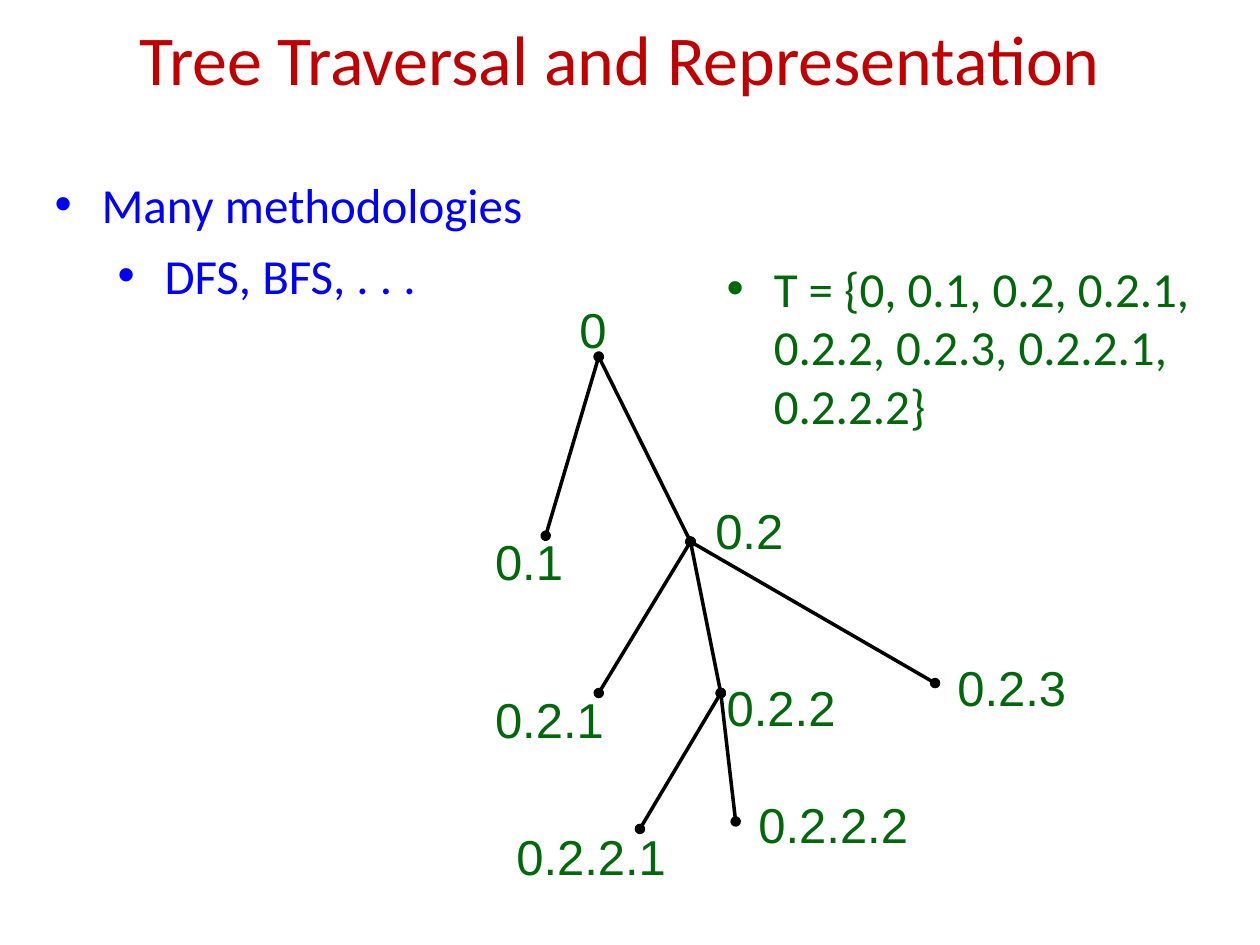
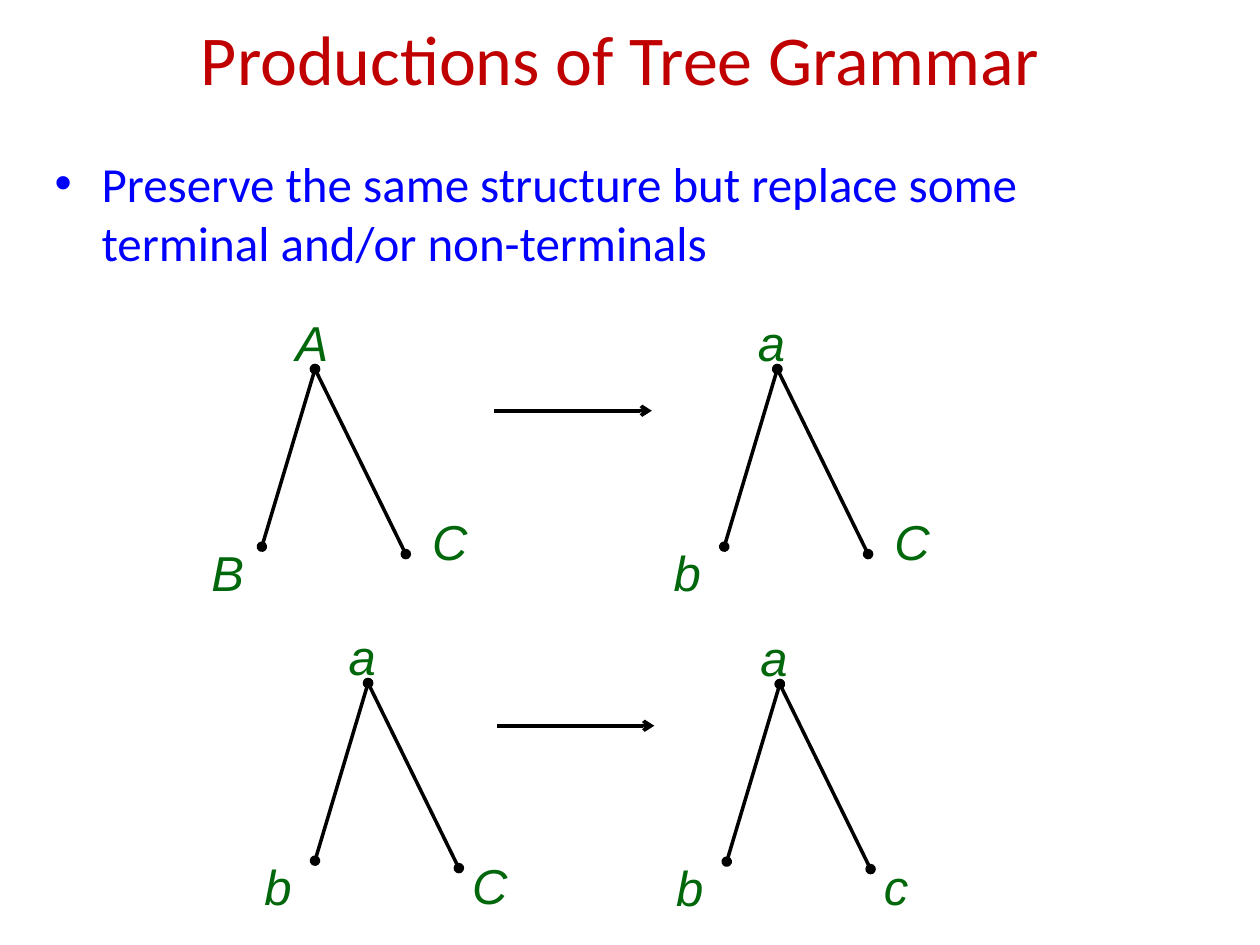
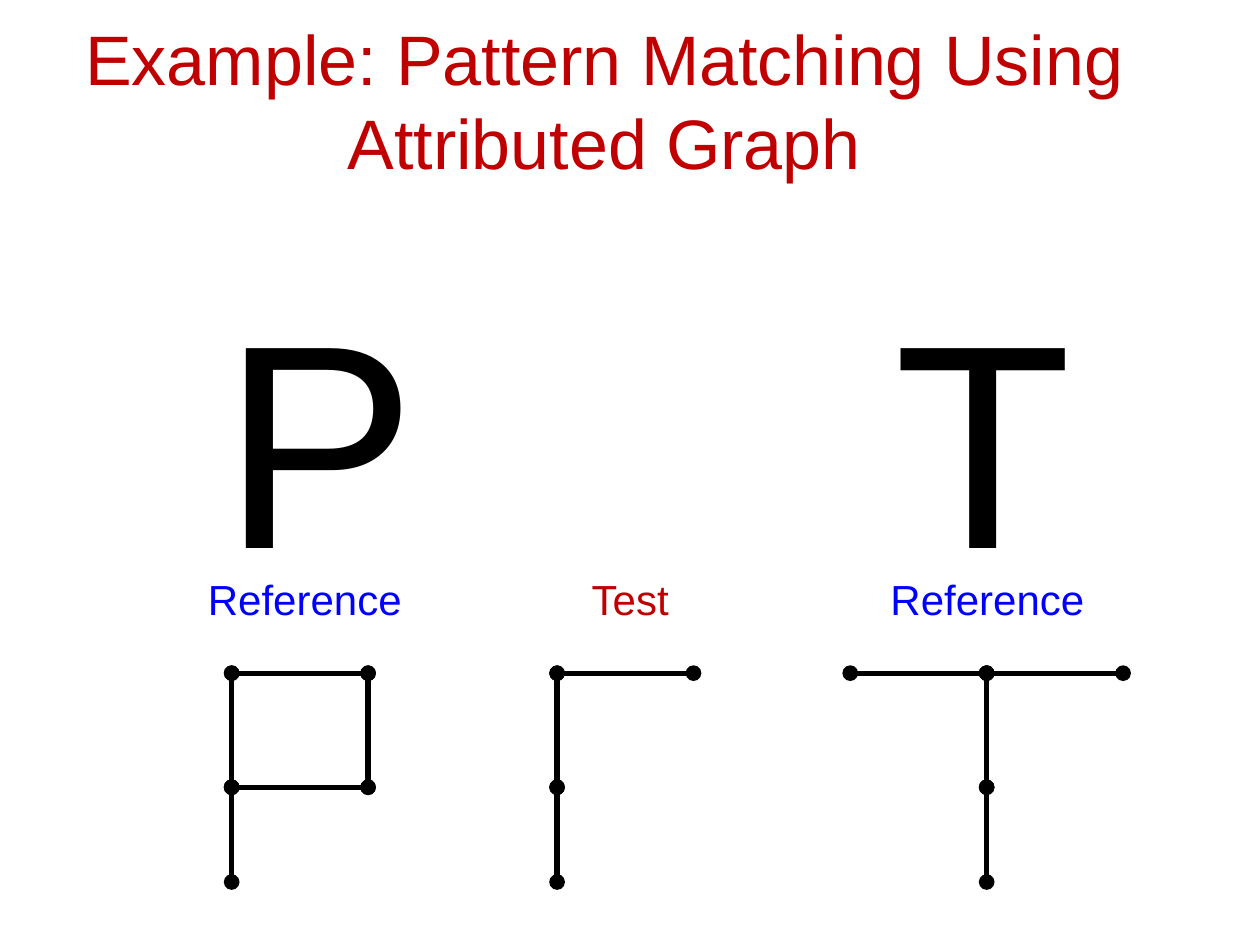
from lxml import etree
from pptx import Presentation
from pptx import util as u
from pptx.dml.color import RGBColor
from pptx.enum import shapes, text
from pptx.oxml.ns import qn

RED, BLUE, GREEN, BLACK = "C00000", "0000FF", "01670B", "000000"
BODY_FONT, LABEL_FONT = "Calibri", "Arial"
LEFT, CENTER = text.PP_ALIGN.LEFT, text.PP_ALIGN.CENTER


def rgb(value):
    return RGBColor.from_string(value)


def add_element(parent, tag, **attributes):
    return etree.SubElement(parent, qn(tag), attributes)


class Deck:
    """Holds the shared style and the slide being built."""

    def __init__(self):
        self.presentation = Presentation()
        self.presentation.slide_width = u.Cm(25.4)
        self.presentation.slide_height = u.Cm(19.05)
        self.slide = None

    def format_paragraph(self, paragraph, size, color, font, italic=False, align=LEFT):
        paragraph.alignment = align
        for run in paragraph.runs:
            run.font.size = u.Pt(size)
            run.font.name = font
            run.font.italic = italic
            run.font.color.rgb = rgb(color)

    def new_slide(self, title, left=0.43, top=0.43, width=24.13, font=BODY_FONT):
        layout = self.presentation.slide_layouts.get_by_name("Title Only")
        self.slide = self.presentation.slides.add_slide(layout)
        shape = self.slide.shapes.title
        shape.left, shape.top = u.Cm(left), u.Cm(top)
        shape.width, shape.height = u.Cm(width), u.Cm(1.47)
        frame = shape.text_frame
        frame.text = title
        frame.word_wrap = True
        frame.auto_size = text.MSO_AUTO_SIZE.NONE
        frame.vertical_anchor = text.MSO_ANCHOR.MIDDLE
        self.format_paragraph(frame.paragraphs[0], 40, RED, font, align=CENTER)

    def text_frame(self, left, top, width, height):
        box = self.slide.shapes.add_textbox(
            u.Cm(left), u.Cm(top), u.Cm(width), u.Cm(height))
        box.text_frame.word_wrap = True
        return box.text_frame

    def label(self, words, left, top, width=3.61, height=1.45, size=28,
              color=GREEN, italic=False, align=LEFT):
        frame = self.text_frame(left, top, width, height)
        frame.text = words
        frame.auto_size = text.MSO_AUTO_SIZE.SHAPE_TO_FIT_TEXT
        self.format_paragraph(
            frame.paragraphs[0], size, color, LABEL_FONT, italic, align)

    def bullets(self, lines, left, top, width, color):
        """Each line is one level deeper than the line before it."""
        frame = self.text_frame(left, top, width, 5.72)
        frame.text = "\n".join(lines)
        for level, paragraph in enumerate(frame.paragraphs):
            paragraph.level = level
            properties = paragraph._p.get_or_add_pPr()
            properties.set("marL", str(u.Cm(0.95 + 1.27 * level)))
            properties.set("indent", str(u.Cm(-0.95)))
            bullet_color = add_element(properties, "a:buClr")
            add_element(bullet_color, "a:srgbClr", val=color)
            add_element(properties, "a:buFont", typeface="Arial")
            add_element(properties, "a:buChar", char="•")
            if level:
                paragraph.space_before = u.Pt(7)
            self.format_paragraph(paragraph, 28, color, BODY_FONT)

    def line(self, start, end, width=2, head="oval", tail="oval"):
        connector = self.slide.shapes.add_connector(
            shapes.MSO_CONNECTOR.STRAIGHT, *(u.Cm(value) for value in (*start, *end)))
        connector.line.color.rgb = rgb(BLACK)
        connector.line.width = u.Pt(width)
        properties = connector._element.spPr
        outline = properties.find(qn("a:ln"))
        add_element(outline, "a:headEnd", type=head)
        add_element(outline, "a:tailEnd", type=tail)
        add_element(properties, "a:effectLst")

    def arrow(self, left, top):
        self.line((left, top), (left + 3.18, top), head="none", tail="arrow")

    def small_tree(self, root, names, right_label):
        """A root with two children; right_label is that label's offset."""
        x, y = root
        for dx, dy in ((-1.07, 3.58), (1.83, 3.73)):
            self.line(root, (x + dx, y + dy))
        offsets = ((-0.64, -1.27), (-2.34, 3.38), right_label)
        widths = (1.27, 3.61, 3.61)
        for name, (dx, dy), width in zip(names, offsets, widths):
            self.label(name, x + dx, y + dy, width, italic=True)


def build_traversal(deck):
    deck.new_slide("Tree Traversal and Representation")
    deck.bullets(["Many methodologies", "DFS, BFS, . . ."], 0.85, 3.39, 17.78, BLUE)

    # Node address: node position, label position
    nodes = {
        "0": ((12.07, 7.19), (11.43, 5.92)),
        "0.1": ((11, 10.8), (9.73, 10.59)),
        "0.2": ((13.92, 10.92), (14.17, 9.96)),
        "0.2.1": ((12.07, 13.97), (9.73, 13.77)),
        "0.2.2": ((14.53, 13.97), (14.4, 13.54)),
        "0.2.3": ((18.85, 13.77), (19.05, 13.13)),
        "0.2.2.1": ((12.9, 16.71), (10.16, 16.54)),
        "0.2.2.2": ((14.83, 16.56), (15.04, 15.9)),
    }
    for address, (position, label_position) in nodes.items():
        parent = address.rpartition(".")[0]
        if parent:
            deck.line(nodes[parent][0], position)
        deck.label(address, *label_position, width=3.61 if parent else 1.27)

    deck.bullets(["T = {0, 0.1, 0.2, 0.2.1, 0.2.2, 0.2.3, 0.2.2.1, 0.2.2.2}"],
                 14.4, 5.08, 10.16, GREEN)


def build_productions(deck):
    deck.new_slide("Productions of Tree Grammar")
    deck.bullets(["Preserve the same structure but replace some "
                  "terminal and/or non-terminals"], 0.85, 2.97, 22.66, BLUE)

    # First production
    beside = (2.11, 2.74)
    deck.small_tree((6.35, 7.44), "ABC", beside)
    deck.arrow(9.96, 8.28)
    deck.small_tree((15.67, 7.44), "abC", beside)

    # Second production
    below = (1.85, 3.35)
    deck.small_tree((7.42, 13.77), "abC", below)
    deck.arrow(10.01, 14.63)
    deck.small_tree((15.72, 13.79), "abc", below)


def build_matching(deck):
    deck.new_slide("Example: Pattern Matching Using Attributed Graph",
                   0.85, 1.27, 22.66, LABEL_FONT)

    # Large letters
    for letter, left, width in (("P", 4.24, 4.01), ("T", 17.78, 5.08)):
        deck.label(letter, left, 5.08, width, 7.29, size=166, color=BLACK)

    # Graphs: edges join (column, row) nodes, column 0 being the stem
    arm, rows = 2.75, (13.57, 15.87, 17.78)
    stem = [((0, 0), (0, 1)), ((0, 1), (0, 2))]
    top_right = ((0, 0), (1, 0))
    graphs = (
        ("Reference", BLUE, 3.39, 4.67,
         [*stem, top_right, ((1, 0), (1, 1)), ((0, 1), (1, 1))]),
        ("Test", RED, 9.95, 11.23, [*stem, top_right]),
        ("Reference", BLUE, 17.15, 19.89, [*stem, top_right, ((-1, 0), (0, 0))]),
    )
    for caption, color, caption_left, stem_x, edges in graphs:
        for edge in edges:
            start, end = ((stem_x + arm * column, rows[row]) for column, row in edge)
            deck.line(start, end, width=3)
        deck.label(caption, caption_left, 11.43, 5.51, 1.27, size=24,
                   color=color, align=CENTER)


def main():
    deck = Deck()
    build_traversal(deck)
    build_productions(deck)
    build_matching(deck)
    deck.presentation.save("out.pptx")


if __name__ == "__main__":
    main()
